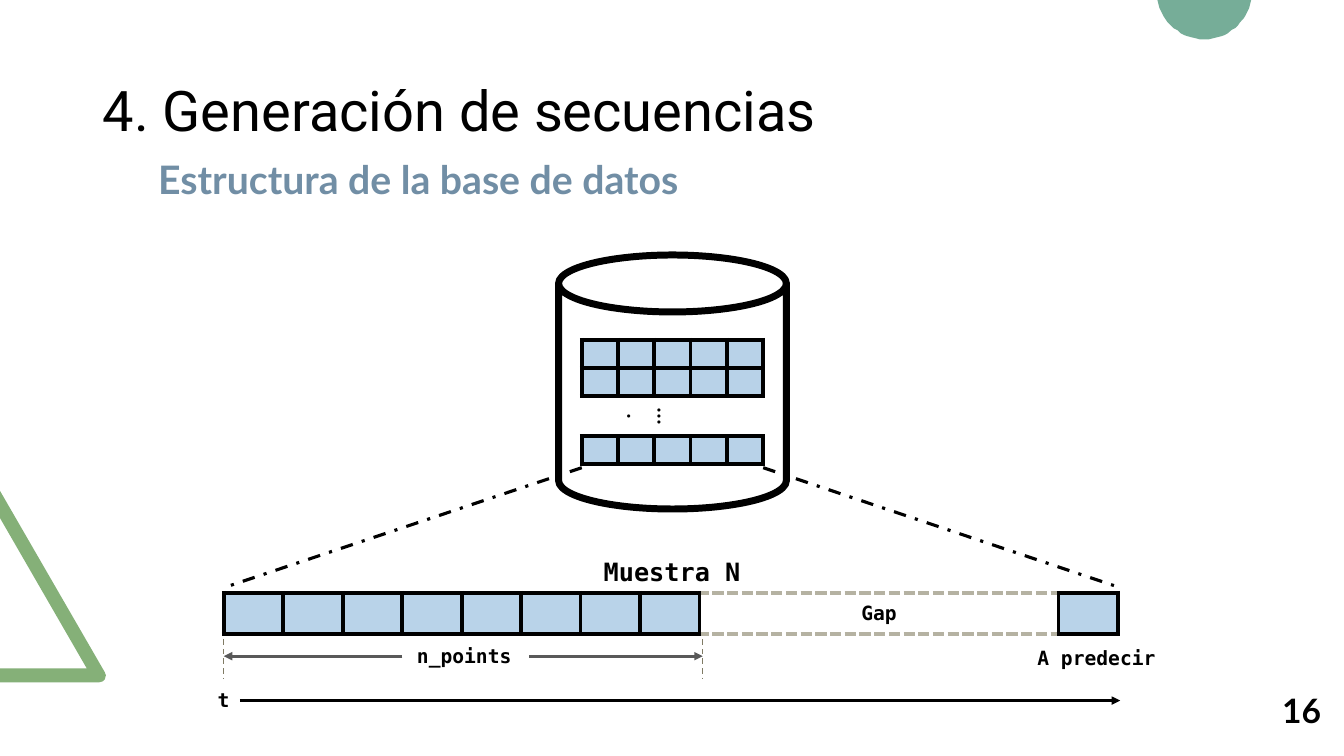
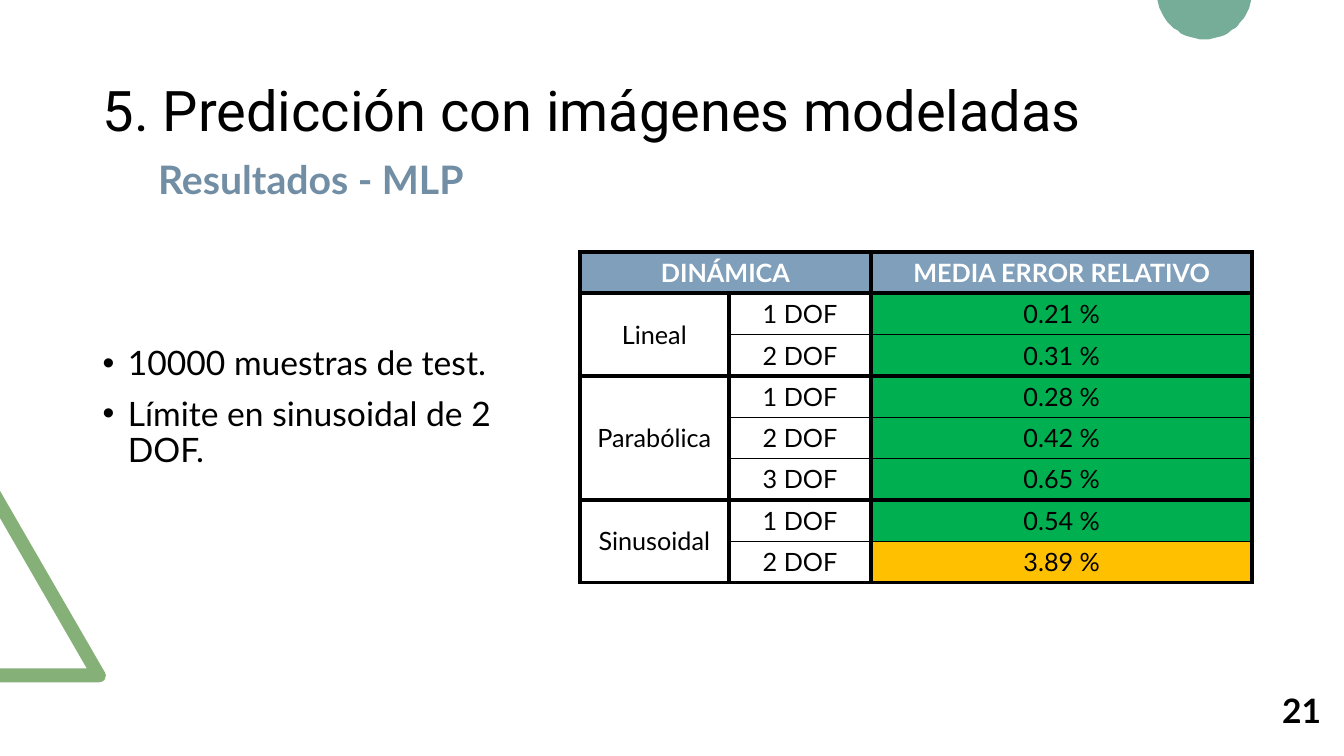
import math
from dataclasses import dataclass
from typing import Optional

from lxml import etree
from pptx import Presentation
from pptx import util as u
from pptx.dml.color import RGBColor
from pptx.enum import dml, shapes, text
from pptx.oxml import ns

PX = 9144  # EMU in one px, 100 px to the inch
TITLE_ONLY = 5
COLORS = {
    "black": "000000", "white": "FFFFFF", "subtitle": "718EA5",
    "triangle": "85B078", "circle": "76AD98", "sample": "92BBDD",
    "gap": "B5B2A2", "limit": "807B65", "arrow": "595959",
    "header": "7F9FBA", "good": "00B050", "warning": "FFC000",
}
LATO, MONO, ROBOTO = "Lato", "DejaVu Sans Mono", "Roboto"
CENTER, LEFT = text.PP_ALIGN.CENTER, text.PP_ALIGN.LEFT
MIDDLE = text.MSO_ANCHOR.MIDDLE
DASH, DASH_DOT = dml.MSO_LINE.DASH, dml.MSO_LINE.DASH_DOT


@dataclass(frozen=True)
class Label:
    words: str
    box: tuple[int, int, int, int]
    size: int = 14
    font: str = MONO
    color: str = "black"
    bold: bool = True
    align: text.PP_ALIGN = CENTER
    wrap: bool = True


@dataclass(frozen=True)
class Line:
    start: tuple[int, int]
    end: tuple[int, int]
    color: str = "black"
    width: float = 2
    dash: Optional[dml.MSO_LINE] = None
    arrow: bool = False


@dataclass(frozen=True)
class Border:
    width: float = 3
    color: str = "black"
    dash: str = "solid"


@dataclass(frozen=True)
class Dynamic:
    name: str
    errors: tuple[str, ...]


THICK, THIN = Border(), Border(1)


def px(*lengths: int) -> list[u.Emu]:
    return [u.Emu(round(length * PX)) for length in lengths]


def rgb(name: str) -> RGBColor:
    return RGBColor.from_string(COLORS[name])


# Text
def write_text(frame, words: str, *, size: int, font: str = LATO,
               color: str = "black", bold: bool = False, align=LEFT,
               spacing: Optional[float] = None, before: int = 0,
               bullet: bool = False) -> None:
    for index, line in enumerate(words.split("\n")):
        paragraph = frame.paragraphs[0] if index == 0 else frame.add_paragraph()
        paragraph.alignment = align
        paragraph.space_before = u.Pt(before)
        if spacing:
            paragraph.line_spacing = spacing
        if bullet:
            properties = paragraph._p.get_or_add_pPr()
            properties.set("marL", str(25 * PX))
            properties.set("indent", str(-25 * PX))
            etree.SubElement(properties, ns.qn("a:buFont"), typeface="Arial")
            etree.SubElement(properties, ns.qn("a:buChar"), char="•")
        run = paragraph.add_run()
        run.text = line
        run.font.size, run.font.name, run.font.bold = u.Pt(size), font, bold
        run.font.color.rgb = rgb(color)


def add_label(slide, label: Label):
    shape = slide.shapes.add_textbox(*px(*label.box))
    shape.text_frame.word_wrap = label.wrap
    shape.text_frame.auto_size = text.MSO_AUTO_SIZE.SHAPE_TO_FIT_TEXT
    write_text(shape.text_frame, label.words, size=label.size, font=label.font,
               color=label.color, bold=label.bold, align=label.align)
    return shape


# Lines and outlines
def add_line(slide, line: Line):
    connector = slide.shapes.add_connector(
        shapes.MSO_CONNECTOR.STRAIGHT, *px(*line.start, *line.end))
    connector.line.color.rgb = rgb(line.color)
    connector.line.width = u.Pt(line.width)
    if line.dash:
        connector.line.dash_style = line.dash
    properties = connector.element.spPr
    if line.arrow:
        etree.SubElement(properties.find(ns.qn("a:ln")), ns.qn("a:tailEnd"),
                         type="triangle")
    etree.SubElement(properties, ns.qn("a:effectLst"))
    return connector


def add_outline(slide, points: list[tuple[int, int]], color: str):
    builder = slide.shapes.build_freeform(*points[0], scale=PX)
    builder.add_line_segments(points[1:], close=True)
    shape = builder.convert_to_shape()
    shape.shadow.inherit = False
    shape.fill.solid()
    shape.fill.fore_color.rgb = rgb(color)
    shape.line.fill.background()
    return shape


# Tables
def add_table(slide, left: int, top: int, columns: list[int], rows: list[int]):
    frame = slide.shapes.add_table(
        len(rows), len(columns), *px(left, top, sum(columns), sum(rows)))
    table = frame.table
    table.first_row = table.horz_banding = False
    for column, width in zip(table.columns, px(*columns)):
        column.width = width
    for row, height in zip(table.rows, px(*rows)):
        row.height = height
    return table


def format_cell(cell, *, fill: Optional[str] = None, alpha: int = 100,
                left: Optional[Border] = THICK, right: Optional[Border] = THICK,
                top: Optional[Border] = THICK,
                bottom: Optional[Border] = THICK) -> None:
    cell.vertical_anchor = MIDDLE
    properties = cell._tc.get_or_add_tcPr()
    if fill:
        cell.fill.solid()
        cell.fill.fore_color.rgb = rgb(fill)
        if alpha < 100:
            color = properties.find(".//" + ns.qn("a:srgbClr"))
            etree.SubElement(color, ns.qn("a:alpha"), val=str(alpha * 1000))
    else:
        cell.fill.background()
    sides = {"a:lnL": left, "a:lnR": right, "a:lnT": top, "a:lnB": bottom}
    for index, (tag, border) in enumerate(sides.items()):
        line = etree.Element(ns.qn(tag))
        properties.insert(index, line)
        if border is None:
            etree.SubElement(line, ns.qn("a:noFill"))
            continue
        line.set("w", str(u.Pt(border.width)))
        solid = etree.SubElement(line, ns.qn("a:solidFill"))
        etree.SubElement(solid, ns.qn("a:srgbClr"), val=COLORS[border.color])
        etree.SubElement(line, ns.qn("a:prstDash"), val=border.dash)


def shrink_empty_cell(cell) -> None:
    cell.margin_top = cell.margin_bottom = 0
    paragraph = cell.text_frame.paragraphs[0]
    etree.SubElement(paragraph._p, ns.qn("a:endParaRPr"), sz="800")


# Shared frame of the slides
def decorate_layout(layout, slide) -> None:
    triangle = [(0, 677), (0, 663), (86, 663), (0, 514), (0, 487), (104, 667),
                (105, 670), (104, 674), (102, 676), (98, 677)]
    angles = [math.radians(10 + 5 * step) for step in range(33)]
    circle = [(round(1194.5 + 47 * math.cos(angle), 2),
               round(-8 + 47 * math.sin(angle), 2)) for angle in angles]
    for points, color in ((triangle, "triangle"), (circle, "circle")):
        layout.shapes.element.append(add_outline(slide, points, color).element)


def add_slide(presentation, title: str, subtitle: str, number: int):
    slide = presentation.slides.add_slide(presentation.slide_layouts[TITLE_ONLY])
    shape = slide.shapes.title
    shape.left, shape.top, shape.width, shape.height = px(92, 40, 1150, 145)
    shape.text_frame.vertical_anchor = MIDDLE
    shape.text_frame.auto_size = text.MSO_AUTO_SIZE.NONE
    write_text(shape.text_frame, title, size=40, font=ROBOTO, spacing=0.9)
    add_label(slide, Label(str(number), (1259, 680, 64, 50), 24, LATO, wrap=False))
    add_label(slide, Label(subtitle, (147, 149, 648, 57), 28, LATO, "subtitle",
                           align=LEFT))
    return slide


# Slide: structure of the database
def draw_sample(slide) -> None:
    points, gap = 8, 8
    table = add_table(slide, 222, 588, [59] * points + [356, 59], [41])
    dashed = Border(3, "gap", "dash")
    for index, cell in enumerate(table.rows[0].cells):
        if index == gap:
            format_cell(cell, top=dashed, bottom=dashed)
            write_text(cell.text_frame, "Gap", size=14, font=MONO, bold=True,
                       align=CENTER)
        else:
            format_cell(cell, fill="sample", alpha=64)
            shrink_empty_cell(cell)


def draw_database(slide) -> None:
    can = slide.shapes.add_shape(shapes.MSO_SHAPE.CAN, *px(554, 253, 226, 252))
    can.shadow.inherit = False
    can.fill.background()
    can.line.color.rgb = rgb("black")
    can.line.width = u.Pt(5)
    dots_row, dots_column = 2, 2
    table = add_table(slide, 577, 337, [36] * 5, [28, 28, 39, 28])
    for row_index, row in enumerate(table.rows):
        for column_index, cell in enumerate(row.cells):
            if row_index != dots_row:
                format_cell(cell, fill="sample", alpha=65)
                shrink_empty_cell(cell)
                continue
            format_cell(cell, left=None, right=None)
            if column_index != dots_column:
                shrink_empty_cell(cell)
                continue
            cell._tc.get_or_add_tcPr().set("vert", "vert")
            cell.margin_top, cell.margin_bottom = px(8, 8)
            write_text(cell.text_frame, "....", size=18, align=CENTER)


def draw_structure(slide) -> None:
    draw_sample(slide)
    draw_database(slide)
    for line in (
        Line((577, 464), (222, 583), width=2.25, dash=DASH_DOT),
        Line((757, 464), (1111, 583), width=2.25, dash=DASH_DOT),
        Line((525, 651), (697, 651), "arrow", arrow=True),
        Line((399, 651), (222, 651), "arrow", arrow=True),
        Line((222, 634), (222, 673), "limit", 1, DASH),
        Line((697, 634), (697, 673), "limit", 1, DASH),
    ):
        add_line(slide, line)
    for label in (
        Label("Muestra N", (564, 547, 205, 40), 18),
        Label("n_points", (358, 634, 205, 34)),
        Label("A predecir", (1019, 636, 139, 34), align=LEFT, wrap=False),
    ):
        add_label(slide, label)
    time = add_label(slide, Label("t", (206, 678, 32, 34), align=LEFT, wrap=False))
    axis = add_line(slide, Line((238, 695), (1111, 695), arrow=True))
    axis.begin_connect(time, 3)


# Slide: results of the model
def draw_results(slide) -> None:
    dynamics = (
        Dynamic("Lineal", ("0.21 %", "0.31 %")),
        Dynamic("Parabólica", ("0.28 %", "0.42 %", "0.65 %")),
        Dynamic("Sinusoidal", ("0.54 %", "3.89 %")),
    )
    table = add_table(slide, 575, 250, [148, 141, 378], [41] * 8)
    for column, words in enumerate(("DINÁMICA", "", "MEDIA ERROR RELATIVO")):
        cell = table.cell(0, column)
        format_cell(cell, fill="header")
        if words:
            write_text(cell.text_frame, words, size=18, color="white", bold=True,
                       align=CENTER)
    table.cell(0, 0).merge(table.cell(0, 1))

    first = 1
    for dynamic in dynamics:
        last = first + len(dynamic.errors) - 1
        for row, error in enumerate(dynamic.errors, first):
            format_cell(table.cell(row, 0))
            fill = "good" if float(error.split()[0]) < 1 else "warning"
            values = ((1, f"{row - first + 1} DOF", None), (2, error, fill))
            for column, words, color in values:
                cell = table.cell(row, column)
                format_cell(cell, fill=color, top=THICK if row == first else THIN,
                            bottom=THICK if row == last else THIN)
                write_text(cell.text_frame, words, size=18, align=CENTER)
        name = table.cell(first, 0)
        write_text(name.text_frame, dynamic.name, size=18, align=CENTER)
        name.merge(table.cell(last, 0))
        first = last + 1

    notes = slide.shapes.add_textbox(*px(92, 339, 419, 145))
    notes.text_frame.word_wrap = True
    write_text(notes.text_frame,
               "10000 muestras de test.\nLímite en sinusoidal de 2 DOF.",
               size=24, spacing=0.9, before=10, bullet=True)


def main() -> None:
    presentation = Presentation()
    presentation.slide_width, presentation.slide_height = px(1333, 750)
    structure = add_slide(presentation, "4. Generación de secuencias",
                          "Estructura de la base de datos", 16)
    decorate_layout(structure.slide_layout, structure)
    draw_structure(structure)
    results = add_slide(presentation, "5. Predicción con imágenes modeladas",
                        "Resultados - MLP", 21)
    draw_results(results)
    presentation.save("out.pptx")


if __name__ == "__main__":
    main()
